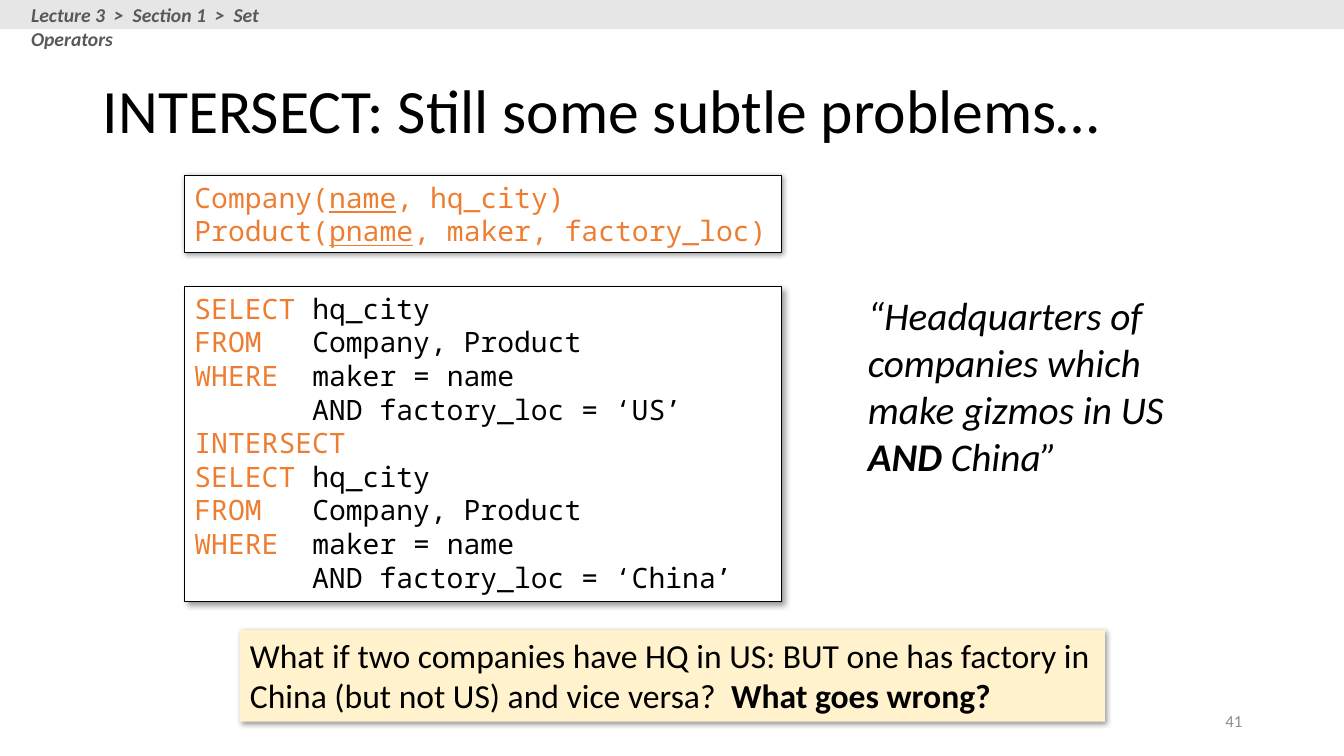
"""Build the slide on subtle problems with INTERSECT."""
import pptx
import pptx.util
import pptx.dml.color
import pptx.enum.shapes
import pptx.enum.text
import pptx.oxml
import pptx.oxml.ns

Inches = pptx.util.Inches
RGBColor = pptx.dml.color.RGBColor
ALIGN = pptx.enum.text.PP_ALIGN
ANCHOR = pptx.enum.text.MSO_ANCHOR
RECT = pptx.enum.shapes.MSO_SHAPE.RECTANGLE

BLACK = RGBColor(0x00, 0x00, 0x00)
WHITE = RGBColor(0xFF, 0xFF, 0xFF)
ORANGE = RGBColor(0xED, 0x7D, 0x31)
CREAM = RGBColor(0xFF, 0xF2, 0xCC)
BAND = RGBColor(0xE7, 0xE6, 0xE6)
CRUMB = RGBColor(0x59, 0x59, 0x59)
GREY = RGBColor(0x8C, 0x8C, 0x8C)
BODY, CODE = "Calibri", "Noto Sans Mono"


def write(sp, lines, size, font=BODY, color=BLACK, align=ALIGN.LEFT,
          anchor=ANCHOR.TOP, wrap=True):
    """Fill a shape with lines, each a list of (text, font settings) runs."""
    tf = sp.text_frame
    tf.word_wrap = wrap
    tf.vertical_anchor = anchor
    for i, line in enumerate(lines):
        p = tf.add_paragraph() if i else tf.paragraphs[0]
        p.alignment = align
        for text, look in line:
            r = p.add_run()
            r.text = text
            r.font.name = font
            r.font.size = pptx.util.Pt(size)
            r.font.color.rgb = look.get("color", color)
            r.font.bold = look.get("bold", False)
            r.font.italic = look.get("italic", False)
            r.font.underline = look.get("underline", False)


def add_card(box, fill, distance, outlined=True):
    """Add a filled rectangle with a soft shadow to the lower right."""
    sp = s.shapes.add_shape(RECT, *map(Inches, box))
    sp.fill.solid()
    sp.fill.fore_color.rgb = fill
    if outlined:
        sp.line.color.rgb = BLACK
        sp.line.width = pptx.util.Pt(0.75)
    else:
        sp.line.fill.background()
    sp.shadow.inherit = False
    effects = sp.element.spPr.find(pptx.oxml.ns.qn("a:effectLst"))
    effects.append(pptx.oxml.parse_xml(
        f'<a:outerShdw {pptx.oxml.ns.nsdecls("a")} blurRad="{pptx.util.Pt(4)}" '
        f'dist="{pptx.util.Pt(distance)}" dir="2700000" algn="tl" rotWithShape="0">'
        '<a:srgbClr val="000000"><a:alpha val="40000"/></a:srgbClr></a:outerShdw>'))
    return sp


prs = pptx.Presentation()
prs.slide_width, prs.slide_height = Inches(13.33), Inches(7.5)
s = prs.slides.add_slide(prs.slide_layouts[5])

title = s.shapes.title
title.left, title.top = Inches(0.92), Inches(0.4)
title.width, title.height = Inches(11.5), Inches(1.45)
write(title, [[("INTERSECT: Still some subtle problems…", {})]], 44,
      anchor=ANCHOR.MIDDLE)
title.text_frame.paragraphs[0].line_spacing = 0.9

number = s.shapes.add_textbox(Inches(9.42), Inches(6.95), Inches(3), Inches(0.4))
write(number, [[("41", {})]], 12, color=GREY, align=ALIGN.RIGHT, anchor=ANCHOR.MIDDLE)

tables = [("Company(", "name", ", hq_city)"),
          ("Product(", "pname", ", maker, factory_loc)")]
schema = add_card((1.83, 1.74, 5.92, 0.77), WHITE, 1)
write(schema, [[(start, {}), (key, {"underline": True}), (rest, {})]
               for start, key, rest in tables], 20, CODE, ORANGE, wrap=False)

keyword = {"color": ORANGE}
selects = [[[("SELECT ", keyword), ("hq_city", {})],
            [("FROM   ", keyword), ("Company, Product", {})],
            [("WHERE  ", keyword), ("maker = name", {})],
            [(f"       AND factory_loc = ‘{place}’", {})]]
           for place in ("US", "China")]
query = add_card((1.83, 2.84, 5.92, 3.13), WHITE, 3)
write(query, selects[0] + [[("INTERSECT", keyword)]] + selects[1], 20, CODE)

question = add_card((2.38, 6.25, 8.58, 0.91), CREAM, 1, outlined=False)
write(question, [[("What if two companies have HQ in US: BUT one has factory in "
                   "China (but not US) and vice versa?  ", {}),
                  ("What goes wrong?", {"bold": True})]], 24)

goal = s.shapes.add_textbox(Inches(8.51), Inches(2.84), Inches(3.29), Inches(1.99))
write(goal, [[("“Headquarters of companies which make gizmos in US ", {"italic": True}),
              ("AND", {"italic": True, "bold": True}),
              (" China”", {"italic": True})]], 28)

header = s.shapes.add_group_shape()
band = header.shapes.add_shape(RECT, 0, 0, prs.slide_width, Inches(0.29))
band.fill.solid()
band.fill.fore_color.rgb = BAND
band.line.fill.background()
band.shadow.inherit = False
crumb = header.shapes.add_textbox(Inches(0.21), Inches(-0.02), Inches(3.27), Inches(0.34))
write(crumb, [[("Lecture 3  >  Section 1  >  Set Operators",
                {"bold": True, "italic": True})]], 14, color=CRUMB)

prs.save("out.pptx")
